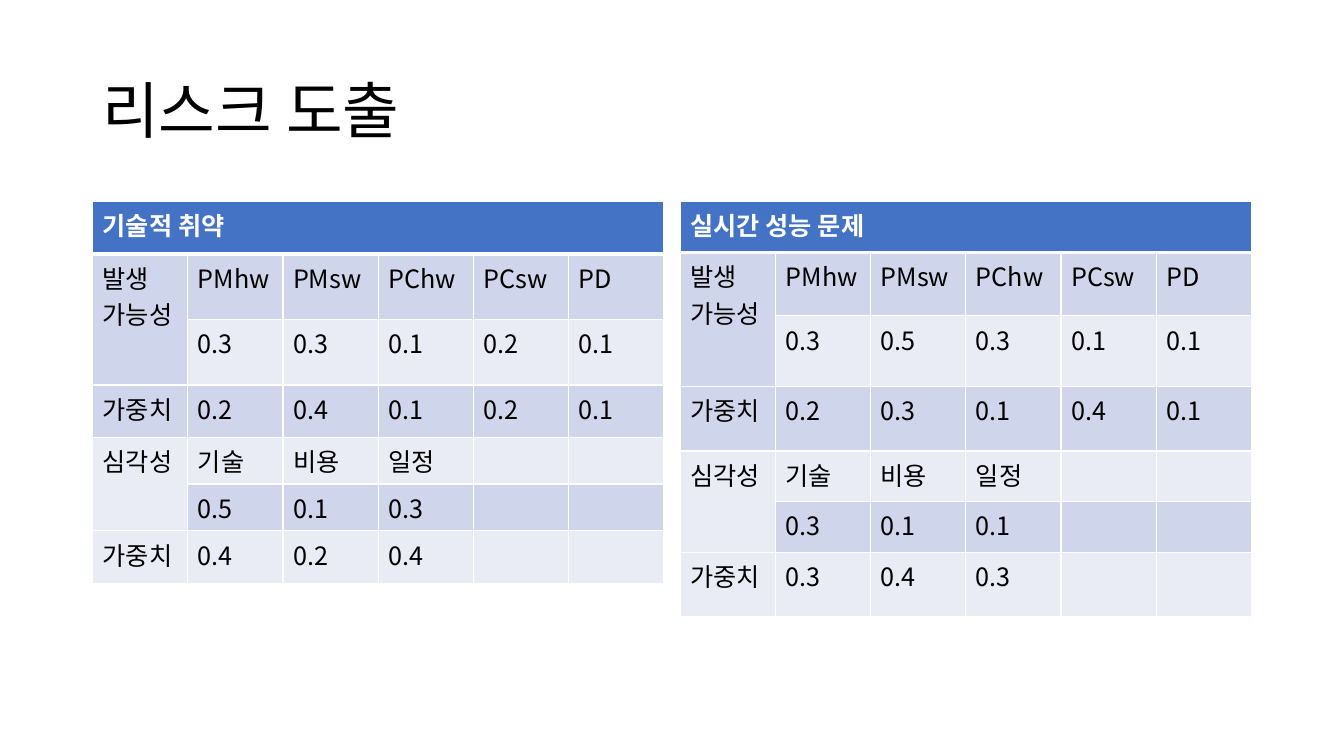
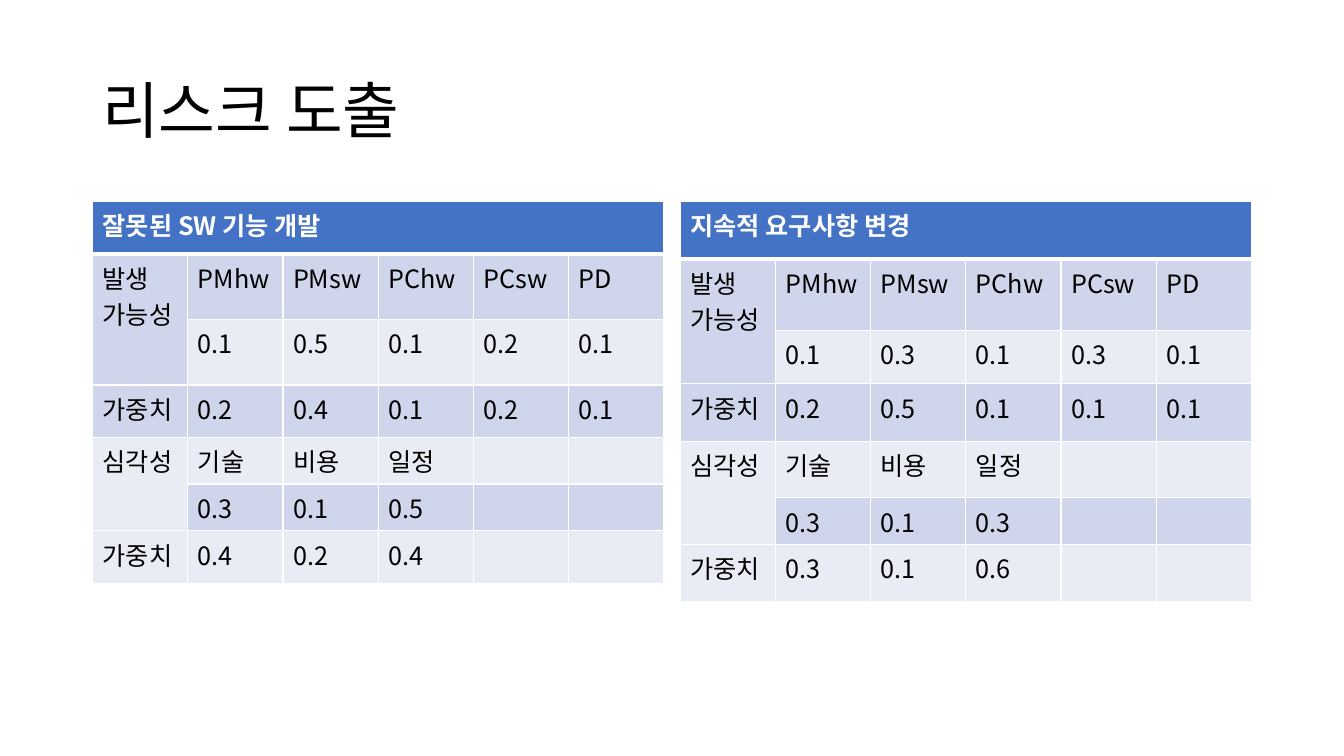
from lxml.etree import SubElement
from pptx import Presentation
from pptx.dml.color import RGBColor as Rgb
from pptx.enum.text import MSO_ANCHOR as Anchor
from pptx.oxml.ns import qn
from pptx.util import Pt

COLORS = {"white": "FFFFFF", "black": "000000", "header": "4472C4",
          "dark_band": "CFD5EA", "light_band": "E9EBF5"}
FONT = "Noto Sans CJK KR"
TITLE = "리스크 도출"
COLUMN_COUNT, COLUMN_WIDTH = 6, 68
TABLE_TOP = 144
TABLE_LEFTS = [66.2, 486]
LEFT_HEIGHTS = [37.4, 46.8, 46.8, 37.4, 33.4, 33.4, 37.4]

# Each risk: name, row heights, likelihood, its weights, severity, its weights
SLIDES = [
    [("기술적 취약", LEFT_HEIGHTS,
      [0.3, 0.3, 0.1, 0.2, 0.1], [0.2, 0.4, 0.1, 0.2, 0.1],
      [0.5, 0.1, 0.3], [0.4, 0.2, 0.4]),
     ("실시간 성능 문제", [36.4, 45.2, 50.6, 46, 36.2, 36.2, 46],
      [0.3, 0.5, 0.3, 0.1, 0.1], [0.2, 0.3, 0.1, 0.4, 0.1],
      [0.3, 0.1, 0.1], [0.3, 0.4, 0.3])],
    [("잘못된 SW 기능 개발", LEFT_HEIGHTS,
      [0.1, 0.5, 0.1, 0.2, 0.1], [0.2, 0.4, 0.1, 0.2, 0.1],
      [0.3, 0.1, 0.5], [0.4, 0.2, 0.4]),
     ("지속적 요구사항 변경", [41, 51, 38.2, 41, 40.4, 33.4, 41],
      [0.1, 0.3, 0.1, 0.3, 0.1], [0.2, 0.5, 0.1, 0.1, 0.1],
      [0.3, 0.1, 0.3], [0.3, 0.1, 0.6])],
]


def style_text(para, size, color, bold=False):
    for span in para.runs:
        font = span.font
        font.size, font.bold, font.name = Pt(size), bold, FONT
        font.color.rgb = Rgb.from_string(COLORS[color])
        SubElement(font._element, qn("a:ea"), typeface=FONT)


def style_cell(cell, row_index):
    """Draw white borders, a thick one under the header, then the band fill."""
    thick_side = {0: "lnB", 1: "lnT"}.get(row_index)
    properties = cell._tc.get_or_add_tcPr()
    for side in ("lnL", "lnR", "lnT", "lnB"):
        width = 3 if side == thick_side else 1
        line = SubElement(properties, qn(f"a:{side}"), w=str(Pt(width)))
        fill = SubElement(line, qn("a:solidFill"))
        SubElement(fill, qn("a:srgbClr"), val=COLORS["white"])
    band = "dark_band" if row_index % 2 else "light_band"
    cell.fill.solid()
    cell.fill.fore_color.rgb = Rgb.from_string(
        COLORS["header" if row_index == 0 else band])


deck = Presentation()
deck.slide_width, deck.slide_height = Pt(960), Pt(540)

for risks in SLIDES:
    page = deck.slides.add_slide(deck.slide_layouts[6])
    title_box = page.shapes.add_textbox(Pt(66), Pt(28.8), Pt(828), Pt(104.4))
    title_frame = title_box.text_frame
    title_frame.word_wrap = True
    title_frame.vertical_anchor = Anchor.MIDDLE
    title_frame.text = TITLE
    title_frame.paragraphs[0].line_spacing = 0.9
    style_text(title_frame.paragraphs[0], 44, "black")

    for left, risk in zip(TABLE_LEFTS, risks):
        name, heights, likelihood, likelihood_weights, severity, severity_weights = risk
        rows = [
            [name],
            ["발생 가능성", "PMhw", "PMsw", "PChw", "PCsw", "PD"],
            ["", *likelihood],
            ["가중치", *likelihood_weights],
            ["심각성", "기술", "비용", "일정"],
            ["", *severity],
            ["가중치", *severity_weights],
        ]
        table = page.shapes.add_table(
            len(rows), COLUMN_COUNT, Pt(left), Pt(TABLE_TOP),
            Pt(COLUMN_COUNT * COLUMN_WIDTH), Pt(sum(heights))).table
        table.first_row = table.horz_banding = False
        for column in table.columns:
            column.width = Pt(COLUMN_WIDTH)

        for row_index, (values, height) in enumerate(zip(rows, heights)):
            table.rows[row_index].height = Pt(height)
            for column_index in range(COLUMN_COUNT):
                cell = table.cell(row_index, column_index)
                style_cell(cell, row_index)
                if column_index < len(values):
                    cell.text_frame.text = str(values[column_index])
                    is_header = row_index == 0
                    style_text(cell.text_frame.paragraphs[0], 18,
                               "white" if is_header else "black", is_header)

        table.cell(0, 0).merge(table.cell(0, COLUMN_COUNT - 1))
        for first_row in (1, 4):
            table.cell(first_row, 0).merge(table.cell(first_row + 1, 0))

deck.save("out.pptx")
